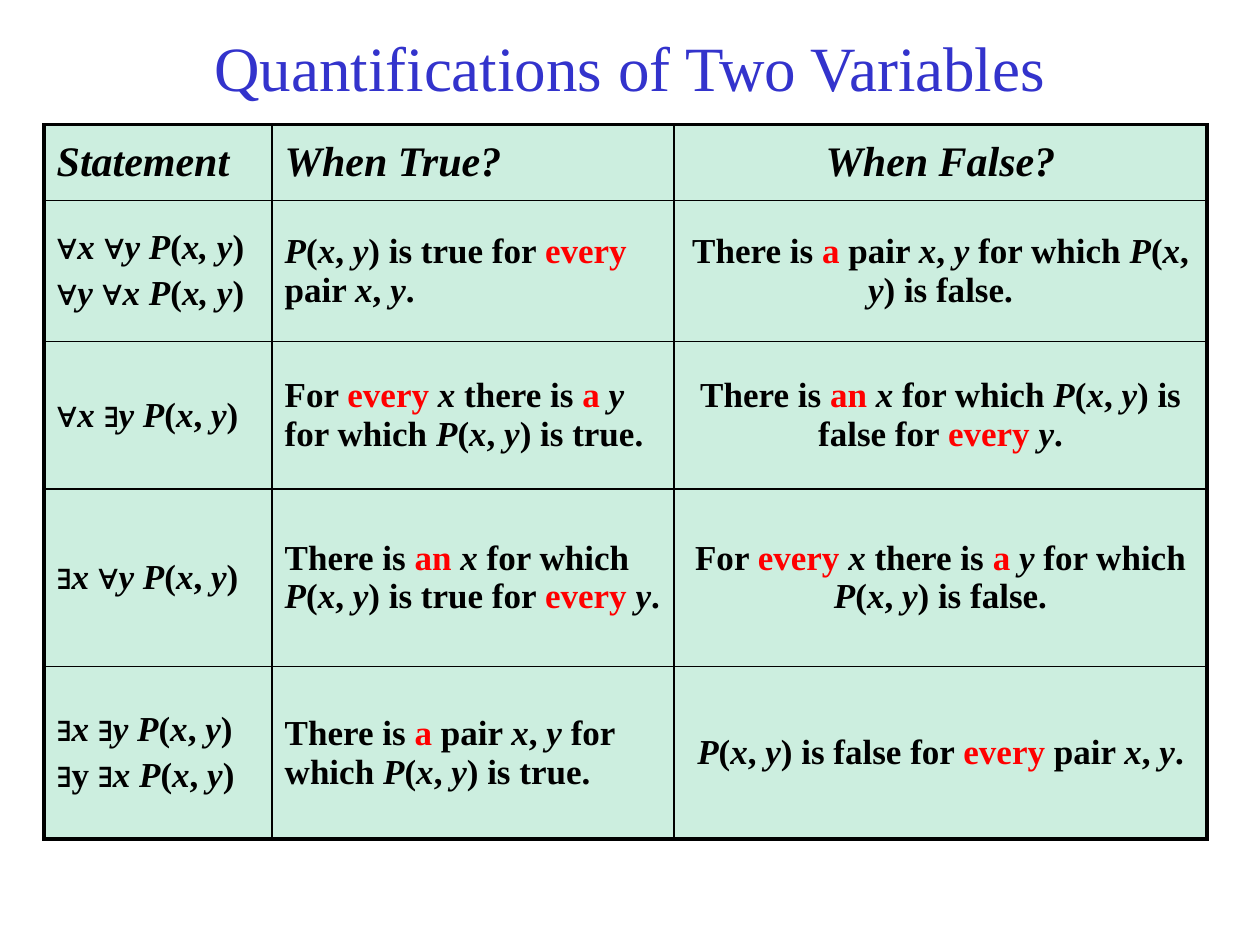
from lxml import etree
from pptx import Presentation
from pptx import util as u
from pptx.dml.color import RGBColor
from pptx.enum import text
from pptx.oxml.ns import qn

COLORS = {"title": "3333CC", "ink": "000000", "accent": "FF0000", "cell": "CCEEDF"}
FONT = "Times New Roman"
TITLE = "Quantifications of Two Variables"

# In cell text, * switches italics and | switches the accent colour.
ROWS = [
    (["*Statement"], ["*When True?"], ["*When False?"]),
    (["∀*x *∀*y P*(*x, y*)", "∀*y *∀*x P*(*x, y*)"],
     ["*P*(*x*, *y*) is true for |every| pair *x*, *y*."],
     ["There is |a| pair *x*, *y *for which *P*(*x*, *y*) is false."]),
    (["∀*x *∃*y P*(*x*, *y*)"],
     ["For |every |*x* there is |a |*y* for which *P*(*x*, *y*) is true."],
     ["There is |an |*x* for which *P*(*x*, *y*) is false for |every |*y*."]),
    (["∃*x *∀*y P*(*x*, *y*)"],
     ["There is |an |*x* for which *P*(*x*, *y*) is true for |every |*y*."],
     ["For |every |*x* there is |a |*y* for which *P*(*x*, *y*) is false."]),
    (["∃*x *∃*y P*(*x*,* y*)", "∃y ∃*x P*(*x*,* y*)"],
     ["There is |a| pair *x*,* y* for which *P*(*x*, *y*) is true."],
     ["*P*(*x*, *y*) is false for |every| pair *x*, *y*."]),
]
COLUMN_WIDTHS = [1.81, 3.19, 4.23]
ROW_HEIGHTS = [0.6, 1.12, 1.17, 1.41, 1.37]
TABLE_LEFT, TABLE_TOP = 0.35, 0.99
HEAD_SIZE, BODY_SIZE = 24, 20
OUTER_LINE, INNER_LINE = 2.25, 1


def color(name):
    return RGBColor.from_string(COLORS[name])


def add_marked_text(para, marked):
    italic = accent = False
    piece = ""
    for char in marked + "*":
        if char not in "*|":
            piece += char
            continue
        if piece:
            span = para.add_run()
            span.text = piece
            span.font.italic = italic
            span.font.color.rgb = color("accent" if accent else "ink")
            piece = ""
        if char == "*":
            italic = not italic
        else:
            accent = not accent


def set_borders(cell, row, column):
    """Draw heavy lines on the table's outline and thin ones inside."""
    outer = {"L": column == 0, "R": column == len(COLUMN_WIDTHS) - 1,
             "T": row == 0, "B": row == len(ROWS) - 1}
    properties = cell._tc.get_or_add_tcPr()
    for side, is_outer in outer.items():
        width = u.Pt(OUTER_LINE if is_outer else INNER_LINE)
        line = etree.SubElement(properties, qn(f"a:ln{side}"), w=str(int(width)))
        fill = etree.SubElement(line, qn("a:solidFill"))
        etree.SubElement(fill, qn("a:srgbClr"), val=COLORS["ink"])


def fill_cell(cell, row, column, paragraphs):
    set_borders(cell, row, column)
    cell.fill.solid()
    cell.fill.fore_color.rgb = color("cell")
    cell.vertical_anchor = text.MSO_ANCHOR.MIDDLE
    size = HEAD_SIZE if row == 0 else BODY_SIZE
    frame = cell.text_frame
    for index, marked in enumerate(paragraphs):
        para = frame.add_paragraph() if index else frame.paragraphs[0]
        para.alignment = text.PP_ALIGN.CENTER if column == 2 else text.PP_ALIGN.LEFT
        para.space_before = u.Pt(0.2 * size)
        add_marked_text(para, marked)
        for span in para.runs:
            span.font.name = FONT
            span.font.size = u.Pt(size)
            span.font.bold = True


def add_title(slide):
    title = slide.shapes.title
    title.left, title.top, title.width, title.height = map(
        u.Inches, (0.75, 0.13, 8.5, 0.79))
    title.text_frame.text = TITLE
    title.text_frame.vertical_anchor = text.MSO_ANCHOR.MIDDLE
    para = title.text_frame.paragraphs[0]
    para.alignment = text.PP_ALIGN.CENTER
    para.font.name = FONT
    para.font.size = u.Pt(36)
    para.font.color.rgb = color("title")


def add_quantifier_table(slide):
    frame = slide.shapes.add_table(
        len(ROWS), len(COLUMN_WIDTHS), u.Inches(TABLE_LEFT), u.Inches(TABLE_TOP),
        u.Inches(sum(COLUMN_WIDTHS)), u.Inches(sum(ROW_HEIGHTS)))
    table = frame.table
    table.first_row = table.horz_banding = False
    for column, width in zip(table.columns, COLUMN_WIDTHS):
        column.width = u.Inches(width)
    for row, height in zip(table.rows, ROW_HEIGHTS):
        row.height = u.Inches(height)
    for row, contents in enumerate(ROWS):
        for column, paragraphs in enumerate(contents):
            fill_cell(table.cell(row, column), row, column, paragraphs)


def main():
    deck = Presentation()
    deck.slide_width, deck.slide_height = u.Inches(10), u.Inches(7.5)
    slide = deck.slides.add_slide(deck.slide_layouts.get_by_name("Title Only"))
    add_title(slide)
    add_quantifier_table(slide)
    deck.save("out.pptx")


if __name__ == "__main__":
    main()
